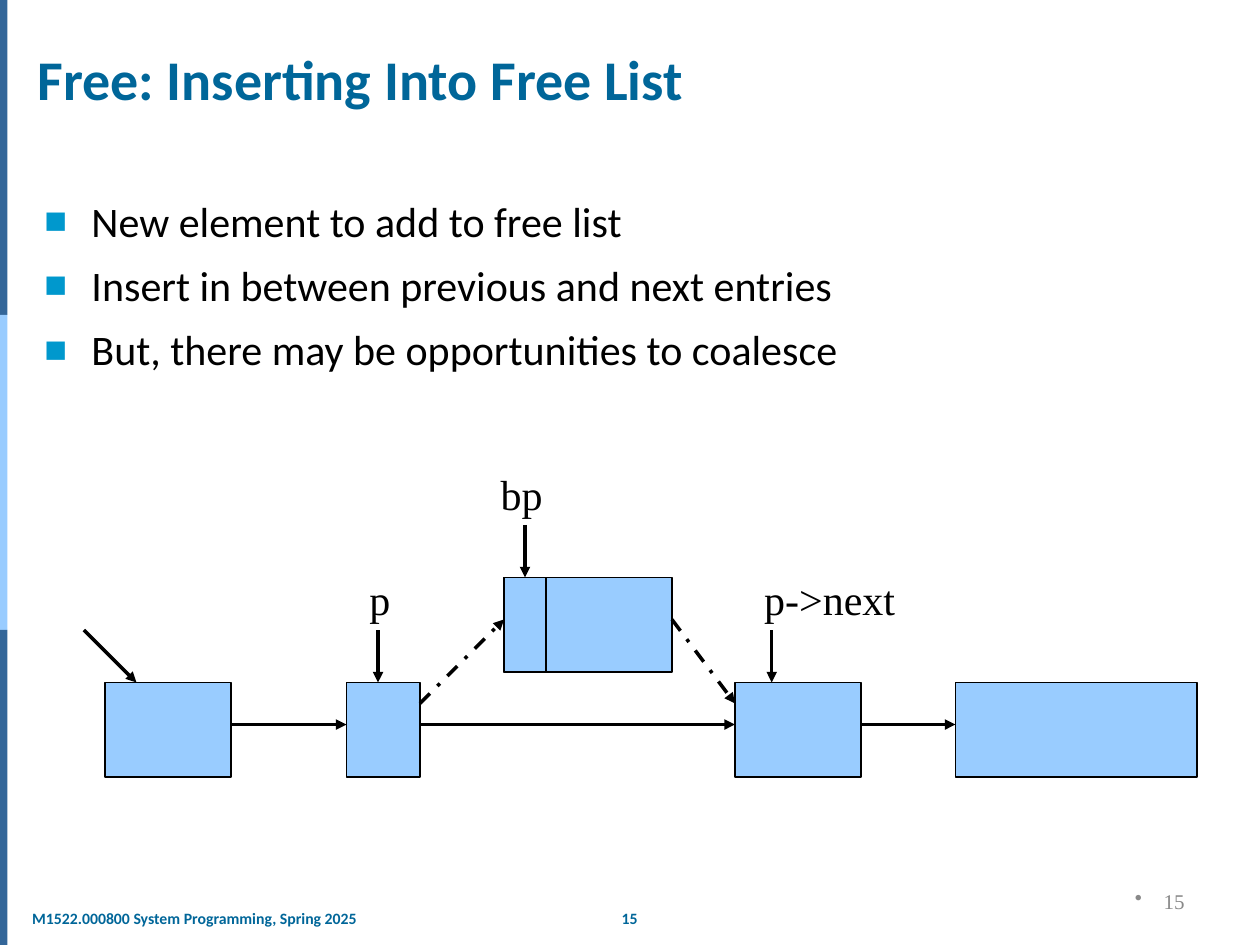
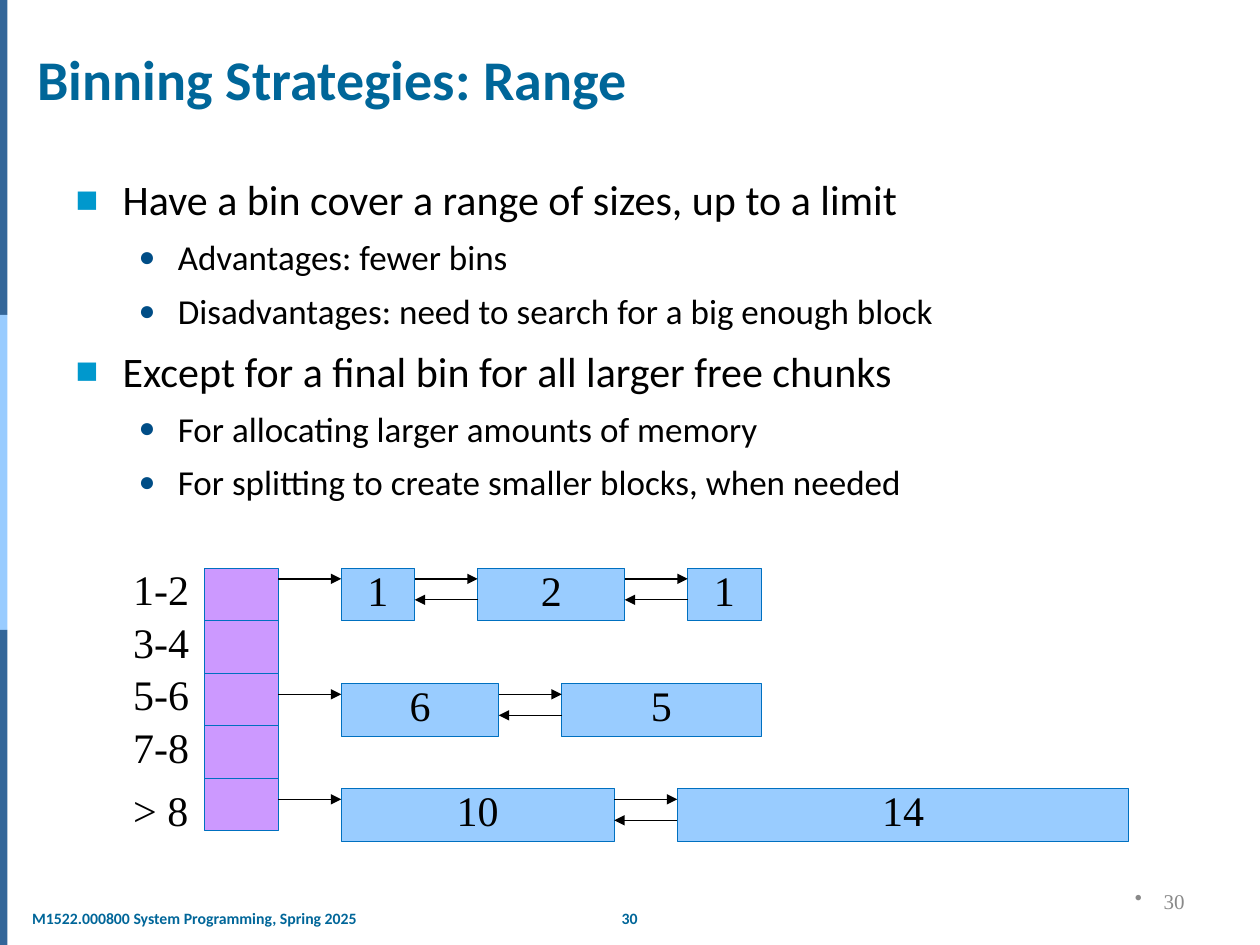
from lxml import etree
from pptx import Presentation
from pptx import util as u
from pptx.dml.color import RGBColor
from pptx.enum import dml, shapes, text
from pptx.oxml.ns import qn

COLOURS = {
    "band": "336699", "block": "99CCFF", "bin": "CC99FF", "heading": "006699",
    "ink": "000000", "outline": "0070C0", "corner": "898989",
    "square": "0098CD", "dot": "004D86",
}
SANS, SERIF = "Calibri", "Times New Roman"
FOOTER = "M1522.000800 System Programming, Spring 2025"
GRID = 2.54 / 12  # diagrams sit on a grid of twelfths of an inch

# Per level: size, bullet, bullet colour, bullet percent, margin and hang in cm
LEVELS = [
    (24, "■", "square", 90, 0.95, 0.95),
    (20, "●", "dot", 80, 2.06, 0.79),
]

INSERTING = {
    "title": "Free: Inserting Into Free List",
    "number": "15",
    "body": (0.64, 3.81, 23.5, 4.88),
    "points": [
        (0, "New element to add to free list"),
        (0, "Insert in between previous and next entries"),
        (0, "But, there may be opportunities to coalesce"),
    ],
}
BINNING = {
    "title": "Binning Strategies: Range",
    "number": "30",
    "body": (1.27, 3.38, 23.5, 8.69),
    "points": [
        (0, "Have a bin cover a range of sizes, up to a limit"),
        (1, "Advantages: fewer bins"),
        (1, "Disadvantages: need to search for a big enough block"),
        (0, "Except for a final bin for all larger free chunks"),
        (1, "For allocating larger amounts of memory"),
        (1, "For splitting to create smaller blocks, when needed"),
    ],
}

# Free list, in grid units
LIST_TOP, NEW_TOP, BLOCK_HEIGHT = 65, 55, 9
LIST_BLOCKS = [(10, 12), (33, 7), (70, 12), (91, 23)]  # left, width
NEW_LEFT, NEW_WIDTH, HEADER_WIDTH = 48, 16, 4
LINKS = [(22, 69, 33, 69), (40, 69, 70, 69), (82, 69, 91, 69)]
POINTERS = [(8, 60, 13, 65), (36, 60, 36, 65), (73.5, 60, 73.5, 65)]
NEW_LINKS = [(40, 67, 48, 59), (64, 59, 70, 67)]
POINTER_NAMES = [("bp", 46.5, 44, 6.4), ("p", 34, 54, 4.4), ("p->next", 71.6, 54, 15)]

# Bins, in grid units
BIN_LEFT, BIN_TOP, BIN_WIDTH, ROW_HEIGHT, GAP = 19.5, 54.13, 7, 5, 6
BIN_NAMES = [("1-2", 53.1), ("3-4", 58.1), ("5-6", 63.1), ("7-8", 68.1), ("> 8", 74.1)]
CHAINS = [  # top, then (size, width) of each chunk
    (54.13, [("1", 7), ("2", 14), ("1", 7)]),
    (65.13, [("6", 15), ("5", 19)]),
    (75.13, [("10", 26), ("14", 43)]),
]


def colour(name):
    return RGBColor.from_string(COLOURS[name])


def cm(*lengths):
    return [u.Cm(length) for length in lengths]


def grid(*steps):
    return cm(*(step * GRID for step in steps))


def style(para, size, name, face=SANS, bold=False):
    for span in para.runs:
        span.font.size, span.font.name, span.font.bold = u.Pt(size), face, bold
        span.font.color.rgb = colour(name)


def add_bullet(para, mark, margin, hang, name=None, percent=100):
    props = para._p.get_or_add_pPr()
    props.set("marL", str(u.Cm(margin)))
    props.set("indent", str(-u.Cm(hang)))
    if name:
        tint = etree.SubElement(props, qn("a:buClr"))
        etree.SubElement(tint, qn("a:srgbClr"), val=COLOURS[name])
    etree.SubElement(props, qn("a:buSzPct"), val=str(percent * 1000))
    etree.SubElement(props, qn("a:buChar"), char=mark)


def add_text(page, words, place, size, name, face=SANS, bold=False):
    box = page.shapes.add_textbox(*place)
    box.text_frame.word_wrap = False
    box.text_frame.text = words
    style(box.text_frame.paragraphs[0], size, name, face, bold)
    return box


def add_box(page, place, fill, line=None):
    box = page.shapes.add_shape(shapes.MSO_SHAPE.RECTANGLE, *place)
    box.shadow.inherit = False
    box.fill.solid()
    box.fill.fore_color.rgb = colour(fill)
    if line:
        box.line.color.rgb = colour(line)
        box.line.width = u.Pt(0.75)
    else:
        box.line.fill.background()
    return box


def add_arrow(page, ends, width, dashed=False):
    arrow = page.shapes.add_connector(shapes.MSO_CONNECTOR.STRAIGHT, *grid(*ends))
    arrow.line.color.rgb = colour("ink")
    arrow.line.width = u.Pt(width)
    if dashed:
        arrow.line.dash_style = dml.MSO_LINE.DASH_DOT
    props = arrow.element.find(qn("p:spPr"))
    etree.SubElement(props.find(qn("a:ln")), qn("a:tailEnd"), type="triangle")
    etree.SubElement(props, qn("a:effectLst"))
    return arrow


def share_frame(page, layout):
    """Build the side bands and footer, then move them to the layout."""
    height = 19.05 / 3
    parts = [add_box(page, cm(0, row * height, 0.15, height), name)
             for row, name in enumerate(["band", "block", "band"])]
    footer = add_text(page, FOOTER, cm(0.5, 18.19, 6.91, 0.64), 9, "heading", bold=True)
    footer.text_frame.margin_left = footer.text_frame.margin_right = u.Cm(0.15)
    for part in parts + [footer]:
        layout.shapes.element.append(part.element)


def place_shape(shape, place):
    shape.left, shape.top, shape.width, shape.height = place


def add_page(deck, content):
    page = deck.slides.add_slide(deck.slide_layouts[1])
    title, body = page.placeholders
    place_shape(title, cm(0.5, 0.79, 24.5, 1.6))
    frame = title.text_frame
    frame.text = content["title"]
    frame.vertical_anchor = text.MSO_ANCHOR.BOTTOM
    frame.auto_size = text.MSO_AUTO_SIZE.NONE
    frame.paragraphs[0].alignment = text.PP_ALIGN.LEFT
    style(frame.paragraphs[0], 32, "heading", bold=True)

    place_shape(body, cm(*content["body"]))
    frame = body.text_frame
    frame.auto_size = text.MSO_AUTO_SIZE.NONE
    for index, (level, words) in enumerate(content["points"]):
        para = frame.add_paragraph() if index else frame.paragraphs[0]
        size, mark, name, percent, margin, hang = LEVELS[level]
        para.text, para.level = words, level
        para.space_before = u.Pt(round(size * 0.33, 1) if index else 0)
        add_bullet(para, mark, margin, hang, name, percent)
        style(para, size, "ink")

    number = add_text(page, content["number"], cm(12.24, 18.19, 0.91, 0.64),
                      9, "heading", bold=True)
    number.text_frame.paragraphs[0].alignment = text.PP_ALIGN.CENTER
    corner = add_text(page, content["number"], cm(18.21, 17.65, 5.92, 1.02),
                      12, "corner", SERIF)
    corner.text_frame.word_wrap = True
    corner.text_frame.vertical_anchor = text.MSO_ANCHOR.MIDDLE
    para = corner.text_frame.paragraphs[0]
    para.alignment = text.PP_ALIGN.RIGHT
    add_bullet(para, "•", 0.58, 0.58)
    return page


def draw_free_list(page):
    for left, width in LIST_BLOCKS:
        add_box(page, grid(left, LIST_TOP, width, BLOCK_HEIGHT), "block", "ink")
    for width in (NEW_WIDTH, HEADER_WIDTH):
        header = add_box(page, grid(NEW_LEFT, NEW_TOP, width, BLOCK_HEIGHT), "block", "ink")
    for ends in LINKS + POINTERS:
        add_arrow(page, ends, 2)
    for ends in NEW_LINKS:
        add_arrow(page, ends, 2, dashed=True)
    middle = NEW_LEFT + HEADER_WIDTH / 2
    add_arrow(page, (middle, 50, middle, NEW_TOP), 2).end_connect(header, 0)
    for words, left, top, width in POINTER_NAMES:
        add_text(page, words, grid(left, top, width, 6), 24, "ink", SERIF)


def draw_chunk(page, size, left, top, width):
    chunk = add_box(page, grid(left, top, width, ROW_HEIGHT), "block", "outline")
    frame = chunk.text_frame
    frame.margin_left = frame.margin_right = frame.margin_top = 0
    frame.margin_bottom = grid(1)[0]
    frame.word_wrap = False
    frame.vertical_anchor = text.MSO_ANCHOR.MIDDLE
    frame.text = size
    frame.paragraphs[0].alignment = text.PP_ALIGN.CENTER
    style(frame.paragraphs[0], 24, "ink", SERIF)


def draw_bins(page):
    for row, (name, top) in enumerate(BIN_NAMES):
        place = grid(BIN_LEFT, BIN_TOP + row * ROW_HEIGHT, BIN_WIDTH, ROW_HEIGHT)
        add_box(page, place, "bin", "outline")
        add_text(page, name, grid(11.5, top, 7.8, 6), 24, "ink", SERIF)
    for top, chunks in CHAINS:
        end = BIN_LEFT + BIN_WIDTH
        for index, (size, width) in enumerate(chunks):
            left = end + GAP
            draw_chunk(page, size, left, top, width)
            add_arrow(page, (end, top + 1, left, top + 1), 0.75)
            if index:
                add_arrow(page, (left, top + 3, end, top + 3), 0.75)
            end = left + width


def main():
    deck = Presentation()
    deck.slide_width, deck.slide_height = cm(25.4, 19.05)
    inserting = add_page(deck, INSERTING)
    share_frame(inserting, deck.slide_layouts[1])
    draw_free_list(inserting)
    draw_bins(add_page(deck, BINNING))
    deck.save("out.pptx")


if __name__ == "__main__":
    main()
